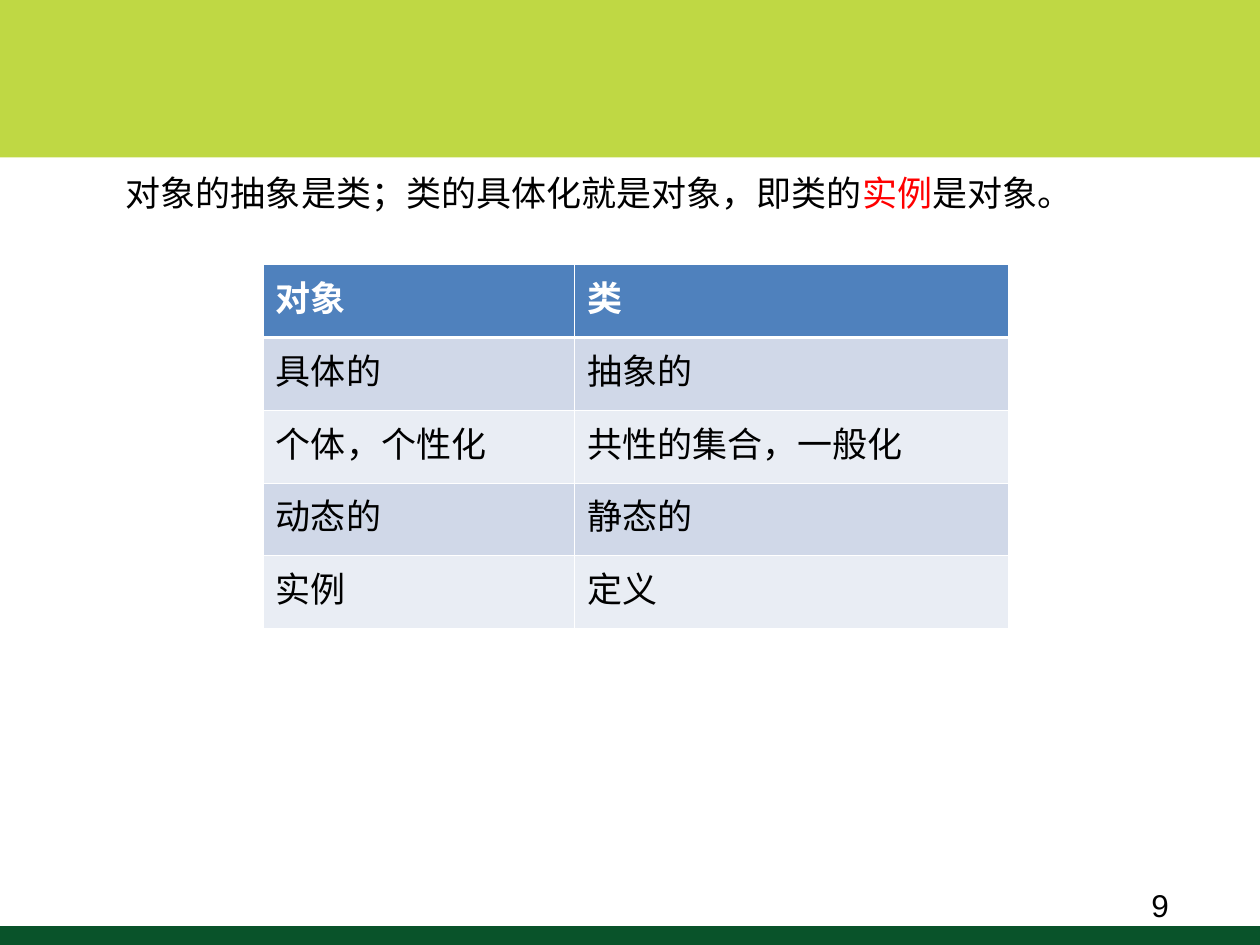
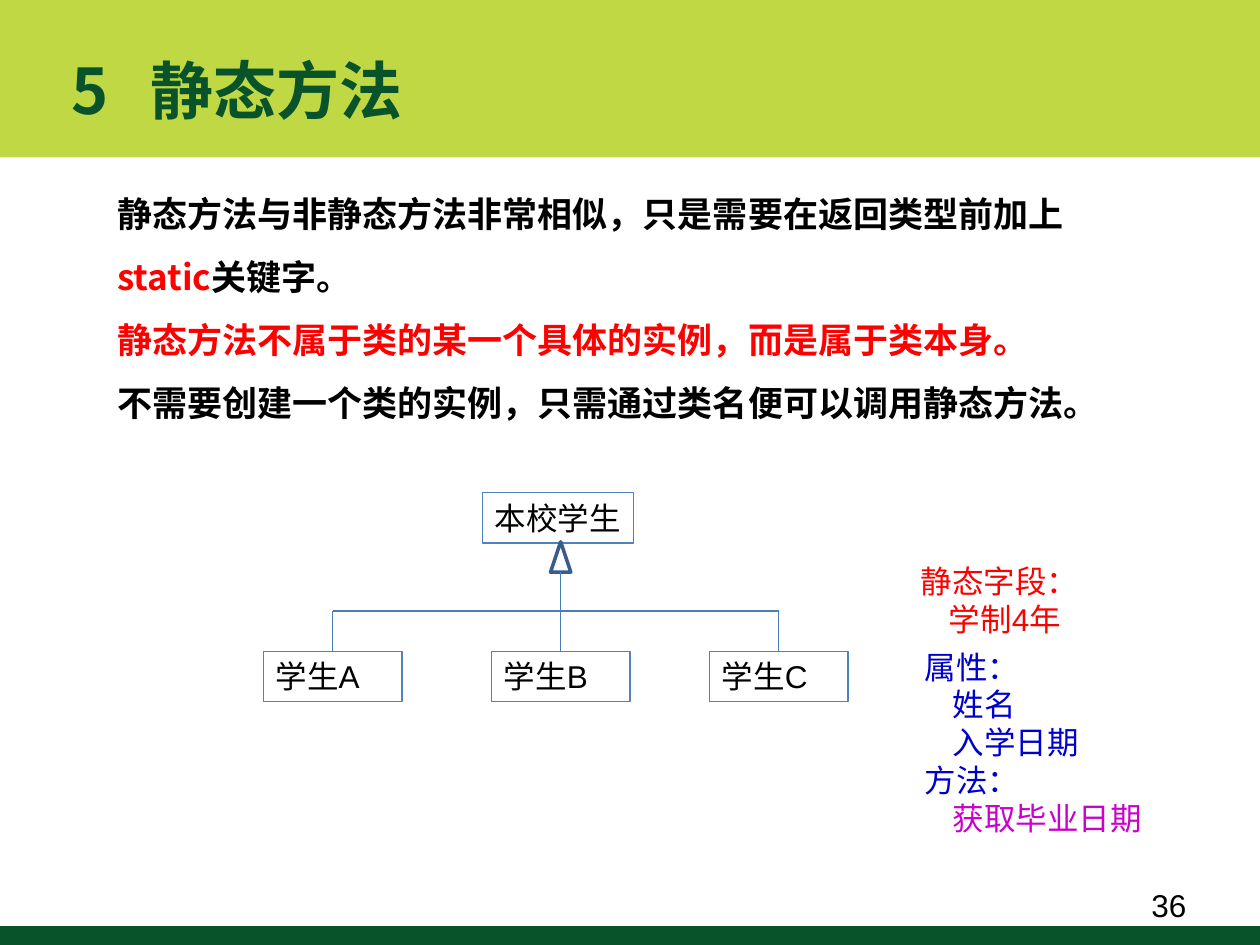
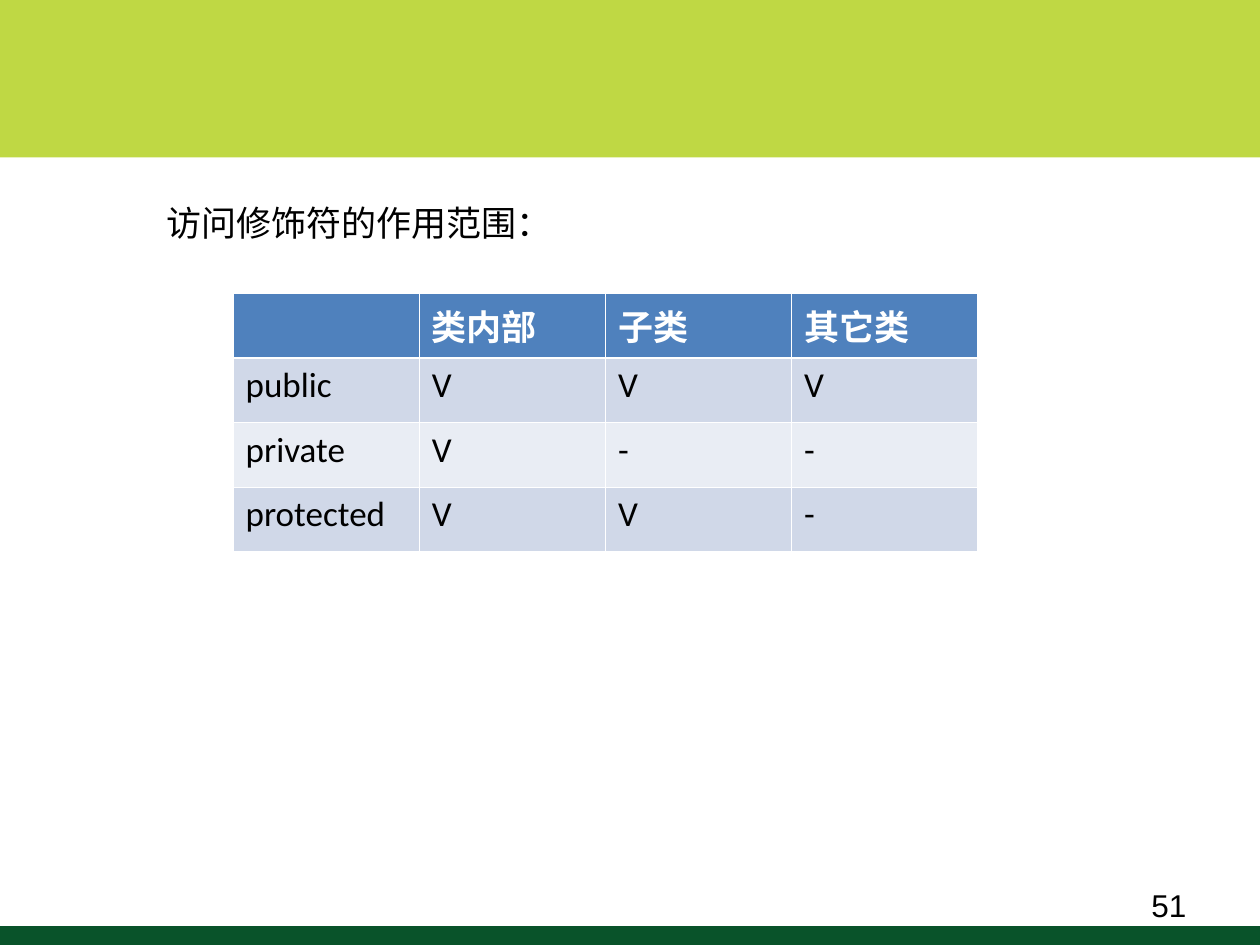
import pptx
import pptx.dml.color
import pptx.enum.shapes
import pptx.enum.text
import pptx.oxml
import pptx.oxml.ns
import pptx.util

Pt = pptx.util.Pt
qn = pptx.oxml.ns.qn
SHAPES = pptx.enum.shapes.MSO_SHAPE
ANCHORS = pptx.enum.text.MSO_ANCHOR

COLOURS = {
    "lime": "BFD844", "forest": "09532A", "black": "000000", "white": "FFFFFF",
    "red": "FF0000", "blue": "0000CC", "magenta": "CC00CC",
    "header": "4F81BD", "dark_row": "D0D8E8", "light_row": "E9EDF4",
    "outline": "4F81BD", "connector": "4A7EBB", "arrow": "385D8A",
}
CJK_FONT = "Noto Sans CJK SC"
WIDTH, HEIGHT = 720, 540


def rgb(name):
    """Return the named colour."""
    return pptx.dml.color.RGBColor.from_string(COLOURS[name])


def add_element(parent, tag, **attributes):
    """Append an XML element such as a:ea and return it."""
    element = parent.makeelement(qn(tag), attributes)
    parent.append(element)
    return element


def write_para(para, spans, size=18, font="Arial", colour="black", bold=False,
               spacing=None, indent=0, tab=None):
    """Fill a paragraph with a string or with (text, colour) spans."""
    properties = para._p.get_or_add_pPr()
    if spacing:
        para.line_spacing = spacing
    if indent:
        properties.set("marL", str(Pt(indent)))
    if tab:
        tabs = add_element(properties, "a:tabLst")
        add_element(tabs, "a:tab", pos=str(Pt(tab)), algn="l")
    para.font.size = Pt(size)
    para.font.bold = bold
    para.font.color.rgb = rgb(colour)
    para.font.name = font
    add_element(properties.find(qn("a:defRPr")), "a:ea", typeface=CJK_FONT)
    if isinstance(spans, str):
        spans = [(spans, None)] if spans else []
    for text, span_colour in spans:
        span = para.add_run()
        span.text = text
        if span_colour:
            span.font.color.rgb = rgb(span_colour)


def add_text(page, area, lines, wrap=True, anchor=ANCHORS.TOP, **style):
    """Add a text box; each line is spans or a (spans, own style) pair."""
    box = page.shapes.add_textbox(*map(Pt, area))
    frame = box.text_frame
    frame.word_wrap = wrap
    frame.vertical_anchor = anchor
    for index, line in enumerate(lines):
        spans, own_style = line if isinstance(line, tuple) else (line, {})
        para = frame.add_paragraph() if index else frame.paragraphs[0]
        write_para(para, spans, **{**style, **own_style})
    return box


def add_outline(box, colour, width=0.75):
    """Give a box or a line its stroke."""
    box.line.color.rgb = rgb(colour)
    box.line.width = Pt(width)


def add_band(page, top, height, colour):
    """Add a full-width band."""
    band = page.shapes.add_shape(SHAPES.RECTANGLE, 0, Pt(top), Pt(WIDTH), Pt(height))
    band.shadow.inherit = False
    band.fill.solid()
    band.fill.fore_color.rgb = rgb(colour)
    band.line.fill.background()


def add_page(deck, number):
    """Add a page with its two bands and its number."""
    page = deck.slides.add_slide(deck.slide_layouts[6])
    add_band(page, 0, 90, "lime")
    add_band(page, 529.2, 10.8, "forest")
    add_text(page, (650.9, 502.6, 96.5, 28.8), [str(number)], wrap=False)
    return page


def add_title(page, title):
    """Add the title in the top band."""
    add_text(page, (33.8, 16.6, 534.2, 68.4), [title], anchor=ANCHORS.MIDDLE,
             size=36, font=CJK_FONT, colour="forest", bold=True, tab=45)


def add_cell_borders(cell, row):
    """Draw thin white borders, with a thicker rule under the header."""
    properties = cell._tc.get_or_add_tcPr()
    thick_sides = {0: "B", 1: "T"}
    for side in "LRTB":
        width = 1.47 if thick_sides.get(row) == side else 0.45
        line = add_element(properties, f"a:ln{side}", w=str(Pt(width)))
        fill = add_element(line, "a:solidFill")
        add_element(fill, "a:srgbClr", val=COLOURS["white"])


def add_grid(page, left, top, widths, row_height, rows):
    """Add a table with a header and banded rows."""
    frame = page.shapes.add_table(len(rows), len(widths), Pt(left), Pt(top),
                                  Pt(sum(widths)), Pt(row_height * len(rows)))
    table = frame.table
    for column, width in zip(table.columns, widths):
        column.width = Pt(width)
    for row, texts in enumerate(rows):
        table.rows[row].height = Pt(row_height)
        band = "dark_row" if row % 2 else "light_row"
        for column, text in enumerate(texts):
            cell = table.cell(row, column)
            add_cell_borders(cell, row)
            cell.fill.solid()
            cell.fill.fore_color.rgb = rgb(band if row else "header")
            write_para(cell.text_frame.paragraphs[0], text, size=20, font="Calibri",
                       colour="black" if row else "white", bold=row == 0)


def add_line(page, start, end):
    """Add a straight connector between two points."""
    line = page.shapes.add_connector(pptx.enum.shapes.MSO_CONNECTOR.STRAIGHT,
                                     *map(Pt, start + end))
    add_outline(line, "connector")
    add_element(line._element.spPr, "a:effectLst")


def add_student_tree(page):
    """Draw the class with its three students below it."""
    child_top, bus, arrow_base = 372.2, 349.2, 327
    child_width, child_height = 79.2, 28.8
    centres = {"学生A": 190.1, "学生B": 320.4, "学生C": 445}
    first, middle, last = centres.values()
    for name, centre in centres.items():
        area = (centre - child_width / 2, child_top, child_width, child_height)
        add_outline(add_text(page, area, [name]), "outline")
    school = add_text(page, (275.6, 281.5, 86.4, 28.8), ["本校学生"], wrap=False)
    add_outline(school, "outline")
    add_line(page, (first, bus), (last, bus))
    arrow = page.shapes.add_shape(SHAPES.ISOSCELES_TRIANGLE, Pt(middle - 5.8), Pt(309.6),
                                  Pt(11.6), Pt(arrow_base - 309.6))
    arrow.shadow.inherit = False
    arrow.fill.background()
    add_outline(arrow, "arrow", 2)
    for centre in centres.values():
        line_top = arrow_base if centre == middle else bus
        add_line(page, (centre, child_top), (centre, line_top))


def add_class_page(deck):
    """Compare objects with classes."""
    page = add_page(deck, 9)
    add_grid(page, 150.5, 151.2, (177.8, 247.7), 41.6, [
        ("对象", "类"),
        ("具体的", "抽象的"),
        ("个体，个性化", "共性的集合，一般化"),
        ("动态的", "静态的"),
        ("实例", "定义"),
    ])
    add_text(page, (64.8, 94.3, 555.8, 31.7), [
        [("对象的抽象是类；类的具体化就是对象，即类的", None), ("实例", "red"),
         ("是对象。", None)],
    ], size=20, font=CJK_FONT)


def add_static_page(deck):
    """Explain static methods."""
    page = add_page(deck, 36)
    add_title(page, "5\t静态方法")
    add_text(page, (59.8, 94.3, 607, 151.2), [
        [("静态方法与非静态方法非常相似，只是需要在返回类型前加上", None),
         ("static", "red"), ("关键字。", None)],
        ("静态方法不属于类的某一个具体的实例，而是属于类本身。", {"colour": "red"}),
        "不需要创建一个类的实例，只需通过类名便可以调用静态方法。",
    ], size=20, font=CJK_FONT, bold=True, spacing=1.5)
    add_student_tree(page)
    member = {"indent": 16}
    add_text(page, (519.1, 317.5, 110, 50.4),
             ["静态字段：", ("学制4年", member)], colour="red")
    add_text(page, (521.3, 366.5, 145, 115.2), [
        "属性：",
        ("姓名", member),
        ("入学日期", member),
        "方法：",
        ("获取毕业日期", {**member, "colour": "magenta"}),
    ], colour="blue")


def add_access_page(deck):
    """Show the reach of the access modifiers."""
    page = add_page(deck, 51)
    add_text(page, (87.8, 111.6, 550, 31.7), ["访问修饰符的作用范围："], size=20)
    add_grid(page, 133.2, 167.8, [106.4] * 4, 36.9, [
        ("", "类内部", "子类", "其它类"),
        ("public", "V", "V", "V"),
        ("private", "V", "-", "-"),
        ("protected", "V", "V", "-"),
    ])


def main():
    """Build the deck and save it."""
    deck = pptx.Presentation()
    deck.slide_width, deck.slide_height = Pt(WIDTH), Pt(HEIGHT)
    add_class_page(deck)
    add_static_page(deck)
    add_access_page(deck)
    deck.save("out.pptx")


if __name__ == "__main__":
    main()
